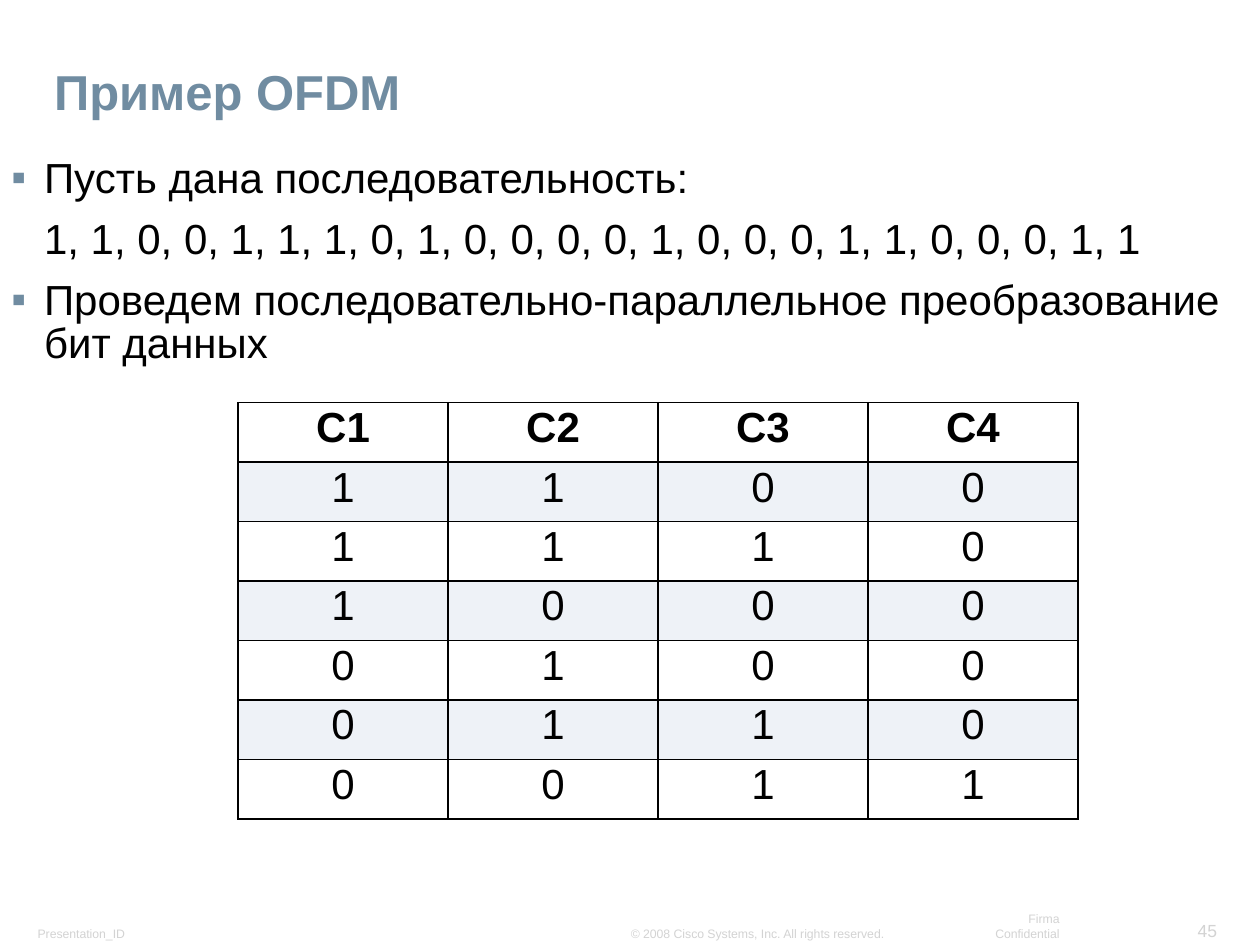
from dataclasses import dataclass

from lxml import etree
from pptx import Presentation
from pptx.dml.color import RGBColor
from pptx.enum.text import MSO_ANCHOR, PP_ALIGN
from pptx.oxml.ns import qn
from pptx.util import Pt

LEFT, MID, RIGHT = PP_ALIGN.LEFT, PP_ALIGN.CENTER, PP_ALIGN.RIGHT
TOP, LOW = MSO_ANCHOR.TOP, MSO_ANCHOR.BOTTOM


@dataclass(frozen=True)
class Theme:
    font: str = "Arial"
    ink: str = "000000"
    head: str = "708CA1"
    pale: str = "D3D3D3"
    band: str = "AAC1D8"
    alpha: int = 20
    title: int = 28
    body: int = 24
    page: int = 10
    note: int = 7


def add(node, tag, **attrs):
    return etree.SubElement(node, qn(tag), **attrs)


class Deck:
    def __init__(self, theme, slide):
        self.theme, self.slide = theme, slide

    def style(self, para, size, color, bold=False, align=LEFT, space=1.0):
        para.alignment, para.line_spacing = align, space
        font = para.font
        font.name, font.size, font.bold = self.theme.font, Pt(size), bold
        font.color.rgb = RGBColor.from_string(color)

    def frame(self, box, anchor=LOW, wrap=True):
        frame = self.slide.shapes.add_textbox(*map(Pt, box)).text_frame
        frame.word_wrap, frame.vertical_anchor = wrap, anchor
        frame.margin_left = frame.margin_right = Pt(6.5)
        frame.margin_top = frame.margin_bottom = Pt(3)
        return frame

    def label(self, text, box, size, color, wrap=False, **look):
        para = self.frame(box, wrap=wrap).paragraphs[0]
        para.text = text
        self.style(para, size, color, **look)

    def bullet(self, para):
        props = para._p.get_or_add_pPr()
        props.set("indent", str(-Pt(18.7)))
        add(add(props, "a:buClr"), "a:srgbClr", val=self.theme.head)
        add(props, "a:buFont", typeface=self.theme.font)
        add(props, "a:buChar", char="▪")

    def body(self, items, box):
        frame = self.frame(box, TOP)
        for i, (text, marked) in enumerate(items):
            para = frame.add_paragraph() if i else frame.paragraphs[0]
            para.text = text
            para._p.get_or_add_pPr().set("marL", str(Pt(18.7)))
            if marked:
                self.bullet(para)
            if i:
                para.space_before = Pt(4.5)
            para.space_after = Pt(6)
            self.style(para, self.theme.body, self.theme.ink, space=0.85)

    def cell(self, cell, text, head, band):
        cell.text = text
        self.style(cell.text_frame.paragraphs[0], self.theme.body,
                   self.theme.ink, head, MID, 0.9)
        props = cell._tc.get_or_add_tcPr()
        for side in ("a:lnL", "a:lnR", "a:lnT", "a:lnB"):
            line = add(props, side, w=str(Pt(1)))
            add(add(line, "a:solidFill"), "a:srgbClr", val=self.theme.ink)
        if not band:
            cell.fill.background()
            return
        cell.fill.solid()
        cell.fill.fore_color.rgb = RGBColor.from_string(self.theme.band)
        tint = props.find(qn("a:solidFill")).find(qn("a:srgbClr"))
        add(tint, "a:alpha", val=str(self.theme.alpha * 1000))

    def table(self, rows, left, top, wide, high):
        count = len(rows[0])
        table = self.slide.shapes.add_table(
            len(rows), count, Pt(left), Pt(top),
            Pt(wide * count), Pt(high * len(rows))).table
        for col in table.columns:
            col.width = Pt(wide)
        for r, row in enumerate(rows):
            table.rows[r].height = Pt(high)
            for c, text in enumerate(row):
                self.cell(table.cell(r, c), text, r == 0, r % 2 == 1)


def main():
    show = Presentation()
    show.slide_width, show.slide_height = Pt(720), Pt(540)
    theme = Theme()
    deck = Deck(theme, show.slides.add_slide(show.slide_layouts[6]))

    # Footer
    for text, left, wide, align in (
            ("Presentation_ID", 15, 76, LEFT),
            ("© 2008 Cisco Systems, Inc. All rights reserved.", 354, 159, LEFT),
            ("Firma Confidential", 543, 69, RIGHT)):
        deck.label(text, (left, 525.5, wide, 15), theme.note, theme.pale,
                   align=align)
    deck.label("45", (677, 522, 25, 18.5), theme.page, theme.pale, align=RIGHT)

    # Title and body
    deck.label("Пример OFDM", (24.5, 29.5, 695.5, 42.5), theme.title,
               theme.head, wrap=True, bold=True, space=0.9)
    deck.body((
        ("Пусть дана последовательность:", True),
        ("1, 1, 0, 0, 1, 1, 1, 0, 1, 0, 0, 0, 0, 1, 0, 0, 0, 1, 1, 0, 0, 0, 1, 1",
         False),
        ("Проведем последовательно-параллельное преобразование бит данных",
         True)), (0, 88, 720, 437.5))

    # Bits by channel
    bits = ("1100", "1110", "1000", "0100", "0110", "0011")
    deck.table([("С1", "С2", "С3", "С4"), *bits], 136, 230, 120, 34)

    show.save("out.pptx")


if __name__ == "__main__":
    main()
